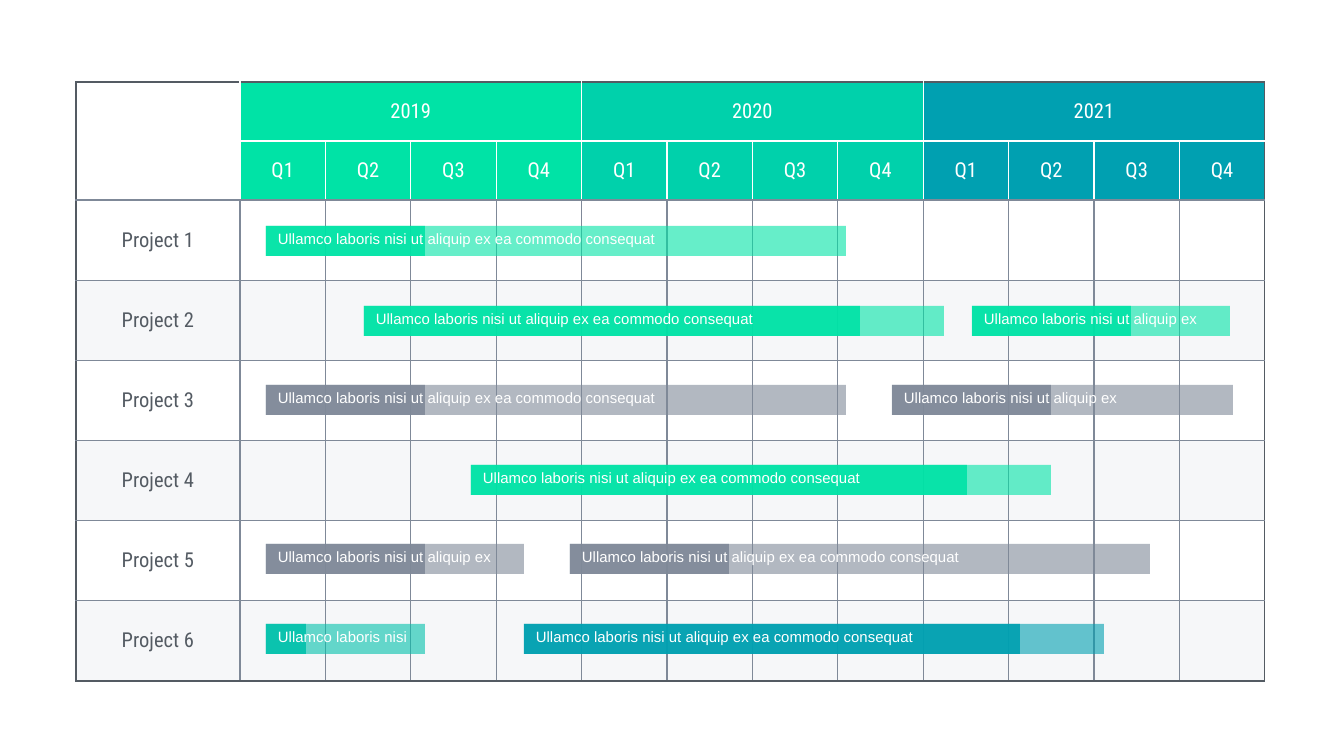
from dataclasses import dataclass

from lxml import etree
from pptx import Presentation
from pptx.dml.color import RGBColor
from pptx.enum.shapes import MSO_SHAPE
from pptx.enum.text import MSO_ANCHOR, PP_ALIGN
from pptx.oxml.ns import qn
from pptx.util import Emu, Pt

RECTANGLE = MSO_SHAPE.RECTANGLE
MIDDLE = MSO_ANCHOR.MIDDLE
CENTER, LEFT = PP_ALIGN.CENTER, PP_ALIGN.LEFT
PX_PER_INCH = 134.4
PLAIN_TABLE_STYLE = "{2D5ABB26-0587-4C30-8999-92F81FD0307C}"


@dataclass(frozen=True)
class Theme:
    white: str = "FFFFFF"
    dark: str = "545B63"
    grey: str = "7F8998"
    stripe: str = "EEF0F4"
    green: str = "00E3A6"
    mint: str = "00D1AB"
    teal: str = "02C1AC"
    blue: str = "00A0B1"
    table_font: str = "Roboto Condensed"
    bar_font: str = "Arial"
    table_size: int = 11
    bar_size: int = 8
    border: float = 0.75
    stripe_opacity: int = 50
    planned_opacity: int = 60
    done_opacity: int = 90


THEME = Theme()

# Table grid, in px
TABLE_LEFT, TABLE_TOP = 76, 82
LABEL_WIDTH, YEARS_WIDTH = 164, 1025
HEADER_HEIGHT, BODY_HEIGHT = 59, 481
HEADER_ROWS, PROJECTS, QUARTERS = 2, 6, 4
YEARS = [("2019", THEME.green), ("2020", THEME.mint), ("2021", THEME.blue)]
COLUMNS = 1 + QUARTERS * len(YEARS)
ROWS = HEADER_ROWS + PROJECTS

# Bars, in px
FIRST_BAR_TOP, LAST_BAR_TOP, BAR_HEIGHT = 226, 624, 30
LONG, MEDIUM, SHORT = (
    ("Ullamco laboris nisi ut aliquip ex ea commodo consequat", 418),
    ("Ullamco laboris nisi ut aliquip ex", 251),
    ("Ullamco laboris nisi", 152),
)
# project, left, planned width, done width, label, colour
BARS = [
    (1, 266, 580, 159, LONG, THEME.green),
    (2, 364, 580, 496, LONG, THEME.green),
    (2, 972, 258, 159, MEDIUM, THEME.green),
    (3, 266, 580, 159, LONG, THEME.grey),
    (3, 892, 341, 159, MEDIUM, THEME.grey),
    (4, 471, 580, 496, LONG, THEME.green),
    (5, 266, 258, 159, MEDIUM, THEME.grey),
    (5, 570, 580, 159, LONG, THEME.grey),
    (6, 266, 159, 40, SHORT, THEME.teal),
    (6, 524, 580, 496, LONG, THEME.blue),
]


def px(length):
    return Emu(round(length * 914400 / PX_PER_INCH))


def set_fill(target, properties, colour, opacity=100):
    target.fill.solid()
    target.fill.fore_color.rgb = RGBColor.from_string(colour)
    if opacity < 100:
        colour_element = properties.find(f"{qn('a:solidFill')}/{qn('a:srgbClr')}")
        etree.SubElement(colour_element, qn("a:alpha"), val=str(opacity * 1000))


def set_insets(target):
    target.margin_left = target.margin_right = px(5)
    target.margin_top = target.margin_bottom = px(2)


def set_text(text_frame, text, font_name, size, colour, alignment):
    paragraph = text_frame.paragraphs[0]
    paragraph.text = text
    paragraph.alignment = alignment
    paragraph.font.name = font_name
    paragraph.font.size = Pt(size)
    paragraph.font.color.rgb = RGBColor.from_string(colour)


def border_colours(row, column, last_row, last_column):
    """Dark outside, white inside the header, grey inside the body."""
    in_header = row < HEADER_ROWS
    inner = THEME.white if in_header else THEME.grey
    top = THEME.grey if row == HEADER_ROWS else inner
    bottom = THEME.grey if last_row == HEADER_ROWS - 1 else inner
    return {
        "a:lnL": THEME.dark if column == 0 else inner,
        "a:lnR": THEME.dark if last_column == COLUMNS - 1 else inner,
        "a:lnT": THEME.dark if row == 0 else top,
        "a:lnB": THEME.dark if last_row == ROWS - 1 else bottom,
    }


def set_borders(properties, colours):
    for position, (tag, colour) in enumerate(colours.items()):
        line = etree.Element(qn(tag), w=str(Pt(THEME.border)))
        fill = etree.SubElement(line, qn("a:solidFill"))
        etree.SubElement(fill, qn("a:srgbClr"), val=colour)
        properties.insert(position, line)


def cell_text(row, column):
    if row >= HEADER_ROWS:
        return f"Project {row - HEADER_ROWS + 1}" if column == 0 else ""
    if column == 0:
        return ""
    year, quarter = divmod(column - 1, QUARTERS)
    if row == 1:
        return f"Q{quarter + 1}"
    return YEARS[year][0] if quarter == 0 else ""


def format_cell(cell, row, column):
    cell.vertical_anchor = MIDDLE
    set_insets(cell)
    in_header = row < HEADER_ROWS
    set_text(cell.text_frame, cell_text(row, column), THEME.table_font,
             THEME.table_size, THEME.white if in_header else THEME.dark, CENTER)
    properties = cell._tc.get_or_add_tcPr()
    if in_header and column == 0:
        cell.fill.background()
    elif in_header:
        set_fill(cell, properties, YEARS[(column - 1) // QUARTERS][1])
    elif (row - HEADER_ROWS) % 2:
        set_fill(cell, properties, THEME.stripe, THEME.stripe_opacity)
    else:
        set_fill(cell, properties, THEME.white)
    if not cell.is_spanned:
        last_row = row + (cell.span_height if cell.is_merge_origin else 1) - 1
        last_column = column + (cell.span_width if cell.is_merge_origin else 1) - 1
        set_borders(properties, border_colours(row, column, last_row, last_column))


def add_timeline_table(slide):
    height = HEADER_ROWS * HEADER_HEIGHT + BODY_HEIGHT
    frame = slide.shapes.add_table(
        ROWS, COLUMNS, px(TABLE_LEFT), px(TABLE_TOP),
        px(LABEL_WIDTH + YEARS_WIDTH), px(height))
    table = frame.table
    table.first_row = table.horz_banding = False
    table._tbl.tblPr.find(qn("a:tableStyleId")).text = PLAIN_TABLE_STYLE
    for index, column in enumerate(table.columns):
        column.width = px(YEARS_WIDTH / (COLUMNS - 1) if index else LABEL_WIDTH)
    for index, row in enumerate(table.rows):
        row.height = px(HEADER_HEIGHT if index < HEADER_ROWS else BODY_HEIGHT / PROJECTS)

    # Merged headings: the empty corner and one cell for each year
    table.cell(0, 0).merge(table.cell(1, 0))
    for first in range(1, COLUMNS, QUARTERS):
        table.cell(0, first).merge(table.cell(0, first + QUARTERS - 1))
    for row in range(ROWS):
        for column in range(COLUMNS):
            format_cell(table.cell(row, column), row, column)


def add_rectangle(shapes, left, top, width, colour, opacity):
    shape = shapes.add_shape(RECTANGLE, px(left), px(top), px(width), px(BAR_HEIGHT))
    shape.shadow.inherit = False
    set_fill(shape, shape._element.spPr, colour, opacity)
    shape.line.fill.background()


def add_bar(slide, project, left, planned, done, label, colour):
    pitch = (LAST_BAR_TOP - FIRST_BAR_TOP) / (PROJECTS - 1)
    top = round(FIRST_BAR_TOP + (project - 1) * pitch)
    shapes = slide.shapes.add_group_shape().shapes
    add_rectangle(shapes, left, top, planned, colour, THEME.planned_opacity)
    add_rectangle(shapes, left, top, done, colour, THEME.done_opacity)
    text, width = label
    text_box = shapes.add_textbox(px(left + 7), px(top + 2), px(width), px(24))
    text_box.text_frame.word_wrap = True
    set_insets(text_box.text_frame)
    set_text(text_box.text_frame, text, THEME.bar_font, THEME.bar_size, THEME.white, LEFT)


def main():
    presentation = Presentation()
    presentation.slide_width, presentation.slide_height = px(1344), px(756)
    slide = presentation.slides.add_slide(presentation.slide_layouts[6])
    add_timeline_table(slide)
    for bar in BARS:
        add_bar(slide, *bar)
    presentation.save("out.pptx")


if __name__ == "__main__":
    main()
